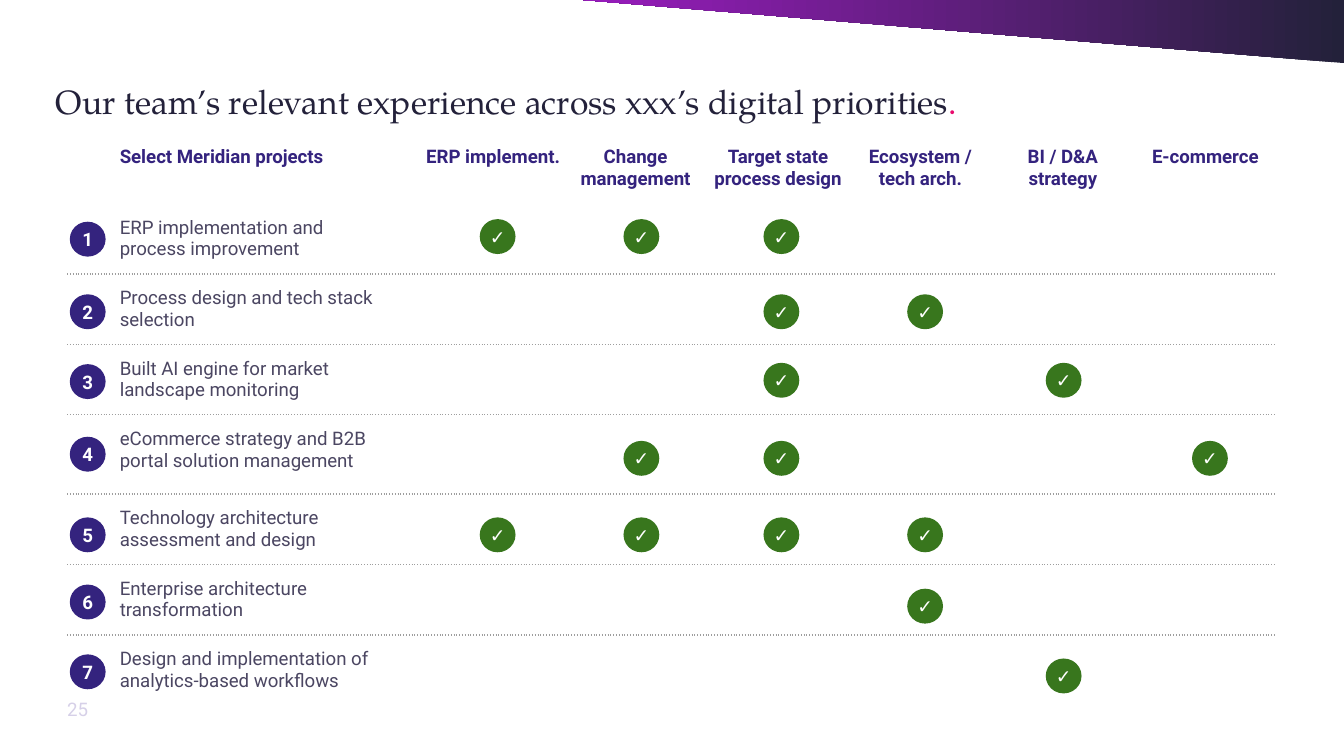
from dataclasses import dataclass

import pptx
import pptx.dml.color
import pptx.enum.shapes
import pptx.enum.text
import pptx.oxml
import pptx.oxml.ns
import pptx.util
from pptx.dml.color import RGBColor
from pptx.util import Pt

INDIGO = RGBColor(0x34, 0x23, 0x7E)
GREEN = RGBColor(0x38, 0x76, 0x1D)
NAVY = RGBColor(0x23, 0x21, 0x3A)
PURPLE = RGBColor(0x98, 0x1C, 0xBC)
PINK = RGBColor(0xE9, 0x0A, 0x6D)
GREY = RGBColor(0x4B, 0x46, 0x62)
RULE = RGBColor(0x9E, 0x9E, 0x9E)
LILAC = RGBColor(0xD6, 0xD0, 0xE8)
WHITE = RGBColor(0xFF, 0xFF, 0xFF)

ALIGN = pptx.enum.text.PP_ALIGN
ANCHOR = pptx.enum.text.MSO_ANCHOR
SHAPE = pptx.enum.shapes.MSO_SHAPE

BADGE_LEFT = 37.4
DOT_SIZE = (19.2, 18.7)


@dataclass
class Priority:
    label: str
    check_left: float


@dataclass
class Project:
    label: str
    row_height: float
    badge_top: float
    check_top: float
    covers: tuple[int, ...]


PRIORITIES = [
    Priority("ERP implement.", 257),
    Priority("Change management", 334),
    Priority("Target state process design", 409),
    Priority("Ecosystem / tech arch.", 486),
    Priority("BI / D&A\nstrategy", 560.2),
    Priority("E-commerce", 638.6),
]

PROJECTS = [
    Project("ERP implementation and process improvement", 34.6, 118.8, 117.4, (0, 1, 2)),
    Project("Process design and tech stack selection", 34.6, 157.7, 157.7, (2, 3)),
    Project("Built AI engine for market landscape monitoring", 26, 195.1, 194.4, (2, 4)),
    Project("eCommerce strategy and B2B portal solution management", 42.5, 234, 236.2, (1, 2, 5)),
    Project("Technology architecture assessment and design", 34.6, 277.2, 277.2, (0, 1, 2, 3)),
    Project("Enterprise architecture transformation", 34.6, 313.2, 315.4, (3,)),
    Project("Design and implementation of analytics-based workflows", 34.6, 350.6, 352.8, (4,)),
]


def write(frame, text: str, *, color: RGBColor, size: float = 10, font: str = "Roboto",
          bold: bool = False, align=ALIGN.LEFT) -> None:
    """Continue the last paragraph; each line break starts a new one."""
    for index, line in enumerate(text.split("\n")):
        paragraph = frame.add_paragraph() if index else frame.paragraphs[-1]
        paragraph.alignment = align
        run = paragraph.add_run()
        run.text = line
        run.font.name = font
        run.font.size = Pt(size)
        run.font.bold = bold
        run.font.color.rgb = color


def add_text_frame(slide, left: float, top: float, width: float, height: float, anchor):
    frame = slide.shapes.add_textbox(Pt(left), Pt(top), Pt(width), Pt(height)).text_frame
    frame.word_wrap = True
    frame.vertical_anchor = anchor
    frame.margin_left = frame.margin_right = frame.margin_top = frame.margin_bottom = 0
    return frame


def add_dot(slide, left: float, top: float, symbol: str, fill: RGBColor) -> None:
    dot = slide.shapes.add_shape(SHAPE.OVAL, Pt(left), Pt(top), *map(Pt, DOT_SIZE))
    dot.shadow.inherit = False
    dot.fill.solid()
    dot.fill.fore_color.rgb = fill
    dot.line.fill.background()
    frame = dot.text_frame
    frame.vertical_anchor = ANCHOR.MIDDLE
    frame.margin_left = frame.margin_right = 0
    frame.margin_top = frame.margin_bottom = Pt(7.2)
    write(frame, symbol, color=WHITE, bold=True, align=ALIGN.CENTER)


def style_cell(cell, rule_above: bool, rule_below: bool) -> None:
    properties = cell._tc.get_or_add_tcPr()
    sides = {"lnL": False, "lnR": False, "lnT": rule_above, "lnB": rule_below}
    for side, ruled in sides.items():
        paint = (f'<a:solidFill><a:srgbClr val="{RULE}"/></a:solidFill><a:prstDash val="dot"/>'
                 if ruled else "<a:noFill/>")
        properties.append(pptx.oxml.parse_xml(
            f'<a:{side} {pptx.oxml.ns.nsdecls("a")} w="{Pt(0.75)}">{paint}</a:{side}>'))
    cell.fill.background()


def write_cell(cell, text: str, color: RGBColor, bold: bool = False, align=ALIGN.LEFT) -> None:
    cell.margin_left = cell.margin_right = Pt(2.2)
    cell.margin_top = cell.margin_bottom = Pt(7.2)
    write(cell.text_frame, text, color=color, bold=bold, align=align)


def add_experience_table(slide) -> None:
    widths = [26, 144, 20] + [76.33] * len(PRIORITIES)
    heights = [26] + [project.row_height for project in PROJECTS]
    table = slide.shapes.add_table(len(heights), len(widths), Pt(36), Pt(71.3),
                                   Pt(sum(widths)), Pt(sum(heights))).table
    table.first_row = table.horz_banding = False
    for column, width in zip(table.columns, widths):
        column.width = Pt(width)
    for number, (row, height) in enumerate(zip(table.rows, heights)):
        row.height = Pt(height)
        for cell in row.cells:
            style_cell(cell, number > 1, 0 < number < len(PROJECTS))

    write_cell(table.cell(0, 1), "Select Meridian projects", INDIGO, bold=True)
    for column, priority in enumerate(PRIORITIES, start=3):
        write_cell(table.cell(0, column), priority.label, INDIGO, True, ALIGN.CENTER)
    for number, project in enumerate(PROJECTS, start=1):
        write_cell(table.cell(number, 1), project.label, GREY)


def add_corner_band(slide) -> None:
    band = slide.shapes.add_shape(SHAPE.RIGHT_TRIANGLE, Pt(312.5), 0, Pt(407.5), Pt(33.8))
    band.rotation = 180
    band.shadow.inherit = False
    band.line.fill.background()
    band.fill.gradient()
    band.fill.gradient_angle = 0
    for stop, color in zip(band.fill.gradient_stops, (NAVY, PURPLE)):
        stop.color.rgb = color


def main() -> None:
    deck = pptx.Presentation()
    deck.slide_width, deck.slide_height = Pt(720), Pt(405)
    slide = deck.slides.add_slide(deck.slide_layouts[6])

    # Table of projects against priorities
    add_experience_table(slide)

    # Title
    title = add_text_frame(slide, 30, 43.2, 612, 24.5, ANCHOR.TOP)
    write(title, "Our team’s relevant experience across xxx’s digital priorities",
          color=NAVY, size=18, font="TeX Gyre Pagella")
    write(title, ".", color=PINK, size=18, font="TeX Gyre Pagella")

    # Numbered badges and check marks
    for number, project in enumerate(PROJECTS, start=1):
        add_dot(slide, BADGE_LEFT, project.badge_top, str(number), INDIGO)
        for index in project.covers:
            add_dot(slide, PRIORITIES[index].check_left, project.check_top, "✓", GREEN)

    # Page number and corner decoration
    page_number = add_text_frame(slide, 36, 373, 43.2, 13.7, ANCHOR.MIDDLE)
    write(page_number, "25", color=LILAC)
    add_corner_band(slide)

    deck.save("out.pptx")


if __name__ == "__main__":
    main()
